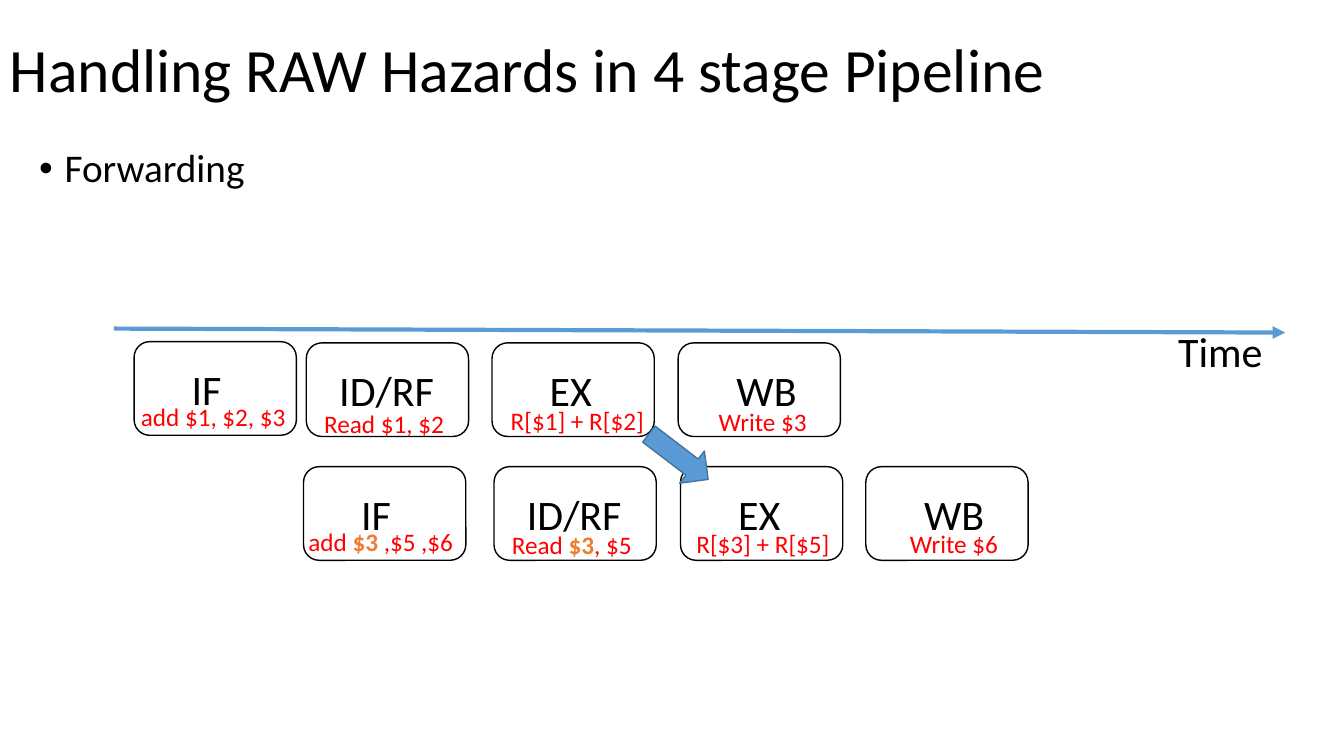
"""Build the slide on forwarding between two instructions in a four stage pipeline."""
import pptx
import pptx.dml.color
import pptx.enum.shapes
import pptx.enum.text
import pptx.oxml
import pptx.oxml.ns
import pptx.util

Cm = pptx.util.Cm
Pt = pptx.util.Pt
SHAPES = pptx.enum.shapes.MSO_SHAPE


def rgb(hex_colour):
    return pptx.dml.color.RGBColor.from_string(hex_colour)


def add_text(left, top, width, height, text, size, colour="000000", wrap=False):
    """Place a text box; pieces between bars are emphasised."""
    box = slide.shapes.add_textbox(Cm(left), Cm(top), Cm(width), Cm(height))
    box.text_frame.word_wrap = wrap
    paragraph = box.text_frame.paragraphs[0]
    for index, piece in enumerate(text.split("|")):
        run = paragraph.add_run()
        run.text = piece
        run.font.name = "Calibri"
        run.font.size = Pt(size)
        run.font.bold = index % 2 == 1
        run.font.color.rgb = rgb("ED7D31" if index % 2 else colour)
    return box.text_frame


deck = pptx.Presentation()
deck.slide_width, deck.slide_height = Cm(33.87), Cm(19.05)
slide = deck.slides.add_slide(deck.slide_layouts[6])

title = add_text(0, 0, 29.21, 3.68, "Handling RAW Hazards in 4 stage Pipeline", 44, wrap=True)
title.vertical_anchor = pptx.enum.text.MSO_ANCHOR.MIDDLE
title.paragraphs[0].line_spacing = 0.9

topic = add_text(0.74, 3.63, 30.53, 12.09, "Forwarding", 28, wrap=True).paragraphs[0]
topic.line_spacing = 0.9
topic_properties = topic._p.get_or_add_pPr()
topic_properties.set("marL", str(Cm(0.64)))
topic_properties.set("indent", str(-Cm(0.64)))
for tag, attribute, value in (("a:buFont", "typeface", "Arial"), ("a:buChar", "char", "•")):
    bullet = pptx.oxml.parse_xml(f"<{tag} {pptx.oxml.ns.nsdecls('a')}/>")
    bullet.set(attribute, value)
    topic_properties.append(bullet)

time_axis = slide.shapes.add_connector(
    pptx.enum.shapes.MSO_CONNECTOR.STRAIGHT, Cm(2.87), Cm(8.28), Cm(32.39), Cm(8.38))
time_axis.line.color.rgb = rgb("5B9BD5")
time_axis.line.width = Pt(3)
time_axis.line._get_or_add_ln().append(
    pptx.oxml.parse_xml(f"<a:tailEnd {pptx.oxml.ns.nsdecls('a')} type='triangle'/>"))
time_axis._element.spPr.append(
    pptx.oxml.parse_xml(f"<a:effectLst {pptx.oxml.ns.nsdecls('a')}/>"))
add_text(29.44, 8.08, 2.67, 1.55, "Time", 30)

# stage name, offset of the name inside its box, width of the name, width of the note
stages = [
    ("IF", 1.2, 1.27, 4.22),
    ("ID/RF", 0.58, 2.92, 3.58),
    ("EX", 1.2, 1.6, 3.91),
    ("WB", 1.22, 2.06, 2.77),
]
# box left, box top, note left, note top, note
instructions = [
    [
        (3.38, 8.61, 3.3, 9.98, "add $1, $2, $3"),
        (7.72, 8.64, 7.92, 10.16, "Read $1, $2"),
        (12.4, 8.64, 12.62, 10.08, "R[$1] + R[$2]"),
        (17.09, 8.64, 17.86, 10.11, "Write $3"),
    ],
    [
        (7.65, 11.76, 7.52, 13.13, "add |$3| ,$5 ,$6"),
        (12.45, 11.76, 12.65, 13.21, "Read |$3|, $5"),
        (17.15, 11.76, 17.3, 13.18, "R[$3] + R[$5]"),
        (21.82, 11.76, 22.68, 13.18, "Write $6"),
    ],
]
for instruction in instructions:
    for (stage, offset, stage_width, note_width), step in zip(stages, instruction):
        left, top, note_left, note_top, note = step
        stage_box = slide.shapes.add_shape(
            SHAPES.ROUNDED_RECTANGLE, Cm(left), Cm(top), Cm(4.09), Cm(2.36))
        stage_box.shadow.inherit = False
        stage_box.fill.background()
        stage_box.line.color.rgb = rgb("000000")
        stage_box.line.width = Pt(1)
        add_text(left + offset, top + 0.42, stage_width, 1.55, stage, 30)
        add_text(note_left, note_top, note_width, 1.02, note, 18, "FF0000")

forwarding = slide.shapes.add_shape(
    SHAPES.DOWN_ARROW, Cm(16.59), Cm(10.57), Cm(1.02), Cm(1.88))
forwarding.rotation = 307.4
forwarding.shadow.inherit = False
forwarding.fill.solid()
forwarding.fill.fore_color.rgb = rgb("5B9BD5")
forwarding.line.color.rgb = rgb("43739E")
forwarding.line.width = Pt(1)

deck.save("out.pptx")
